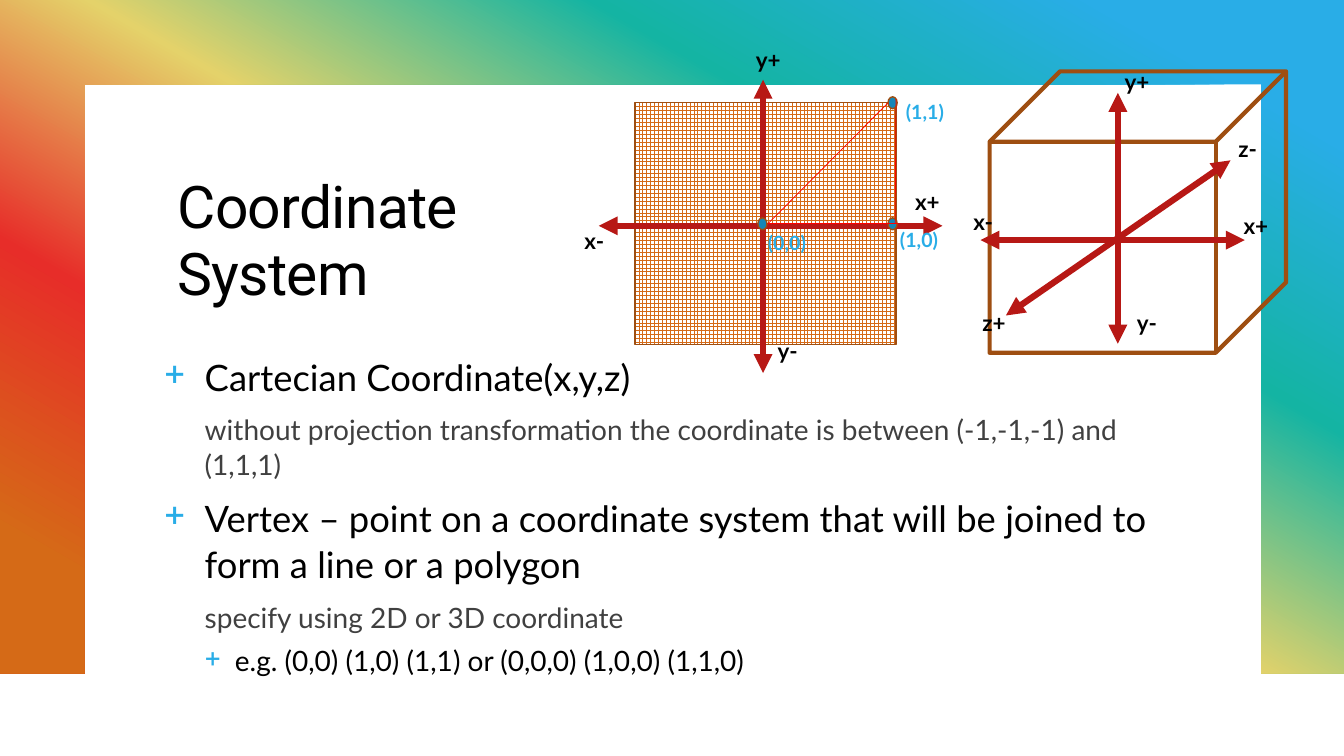
from dataclasses import dataclass
from lxml.etree import SubElement as Sub, fromstring
from pptx import Presentation
from pptx.dml.color import RGBColor as Rgb
from pptx.enum.dml import MSO_PATTERN as Pattern
from pptx.enum.shapes import MSO_CONNECTOR as Link, MSO_SHAPE as Kind
from pptx.enum.text import MSO_ANCHOR as Anchor, MSO_AUTO_SIZE as Fit, PP_ALIGN as Align
from pptx.oxml.ns import nsdecls, qn
from pptx.shapes.autoshape import Shape
from pptx.shapes.shapetree import GroupShapes as Group, SlideShapes as Shapes
from pptx.slide import Slide
from pptx.text.text import Font
from pptx.util import Cm, Pt

HUES = {
    "sky": "29ADE7", "teal": "14B4A3", "sand": "E4D26A", "red": "E72D29",
    "orange": "D56A17", "brown": "9E4E11", "axis": "B71815", "dot": "1586B7",
    "edge": "FF0000", "black": "000000", "grey": "404040", "white": "FFFFFF",
}
STOPS = {"sky": 10, "teal": 30, "sand": 50, "red": 70, "orange": 90}
WIDE, HIGH = 33.87, 19.05


@dataclass
class Label:
    """A short text placed on a diagram."""
    text: str
    x: float
    y: float
    wide: float
    high: float = 0.94
    size: int = 16
    hue: str = "black"


@dataclass
class Stroke:
    """A straight line between two points."""
    x1: float
    y1: float
    x2: float
    y2: float


@dataclass
class Level:
    """The look of one outline level."""
    size: int
    hue: str
    left: float
    hang: float
    gap: int


LEVELS = [
    Level(26, "black", 1.02, 1.02, 9),
    Level(20, "grey", 1.02, 0, 9),
    Level(20, "black", 1.78, 0.76, 6),
]
LINES = [
    (0, "Cartecian Coordinate(x,y,z)"),
    (1, "without projection transformation the coordinate is between (-1,-1,-1) and (1,1,1)"),
    (0, "Vertex – point on a coordinate system that will be joined to form a line or a polygon"),
    (1, "specify using 2D or 3D coordinate"),
    (2, "e.g. (0,0) (1,0) (1,1) or (0,0,0) (1,0,0) (1,1,0)"),
]
SPACE_AXES = [
    Stroke(28.17, 2.34, 28.17, 8.66),
    Stroke(24.71, 6.05, 31.37, 6.05),
    Stroke(25.35, 7.95, 31.01, 4.04),
]
SPACE_TAGS = [
    Label("y+", 28.09, 1.6, 1.22), Label("y-", 28.4, 7.67, 1.02),
    Label("x-", 24.28, 5.13, 1.04), Label("x+", 31.09, 5.23, 1.22),
    Label("z+", 24.51, 7.67, 1.19), Label("z-", 30.96, 3.28, 0.99),
]
PLANE_AXES = [Stroke(19.23, 2.01, 19.23, 9.4), Stroke(15.09, 5.69, 23.75, 5.69)]
PLANE_TAGS = [
    Label("y+", 18.8, 1.04, 1.55), Label("y-", 19.35, 8.38, 1.17),
    Label("x-", 14.48, 5.61, 1.17), Label("x+", 22.81, 4.62, 1.45),
    Label("(1,0)", 22.43, 5.61, 1.8, 0.86, 14, "sky"),
    Label("(0,0)", 19.1, 5.69, 1.8, 0.86, 14, "sky"),
    Label("(1,1)", 22.58, 2.39, 1.8, 0.86, 14, "sky"),
]
DOTS = [(22.38, 5.49), (19.1, 5.49), (22.38, 2.44)]
EDGES = [
    Stroke(19.35, 5.64, 22.63, 5.64),
    Stroke(19.35, 5.64, 22.38, 2.59),
    Stroke(22.56, 5.64, 22.58, 2.49),
]


def color(hue: str) -> Rgb:
    """Look up a named colour."""
    return Rgb.from_string(HUES[hue])


def style(font: Font, name: str, size: int, hue: str, bold: bool = False) -> None:
    """Set the face, size, colour and weight of a font."""
    font.name, font.size, font.bold = name, Pt(size), bold
    font.color.rgb = color(hue)


def frame(shapes: Shapes) -> None:
    """Draw the rainbow frame behind everything."""
    left, right, top, base = 2.13, 31.78, 2.13, 16.97
    spots = [(WIDE, 0), (WIDE, base), (right, base), (right, top),
             (left, top), (left, base), (0, base)]
    pen = shapes.build_freeform(0, 0)
    pen.add_line_segments([(Cm(x), Cm(y)) for x, y in spots])
    shape = pen.convert_to_shape()
    shape.shadow.inherit = False
    shape.line.fill.background()
    stops = "".join(f'<a:gs pos="{at * 1000}"><a:srgbClr val="{HUES[hue]}"/></a:gs>'
                    for hue, at in STOPS.items())
    grad = fromstring(f'<a:gradFill {nsdecls("a")} rotWithShape="1"><a:gsLst>{stops}</a:gsLst>'
                      '<a:lin ang="7200000" scaled="0"/></a:gradFill>')
    shape._element.spPr.find(qn("a:custGeom")).addnext(grad)
    shapes._spTree.insert(2, shape._element)


def head(slide: Slide) -> None:
    """Place and format the title."""
    title = slide.shapes.title
    title.left, title.top, title.width, title.height = Cm(4.22), Cm(4.22), Cm(25.4), Cm(3.73)
    box = title.text_frame
    box.text = "Coordinate \vSystem"
    box.auto_size, box.vertical_anchor = Fit.NONE, Anchor.MIDDLE
    para = box.paragraphs[0]
    para.alignment, para.line_spacing = Align.LEFT, 0.95
    style(para.font, "Roboto", 42, "black")
    para._p.pPr.find(qn("a:defRPr")).set("spc", "-50")


def body(shapes: Shapes) -> None:
    """Write the bulleted outline."""
    box = shapes.add_textbox(Cm(3.89), Cm(8.76), Cm(25.4), Cm(8.69)).text_frame
    box.word_wrap = True
    for row, (rank, text) in enumerate(LINES):
        level = LEVELS[rank]
        para = box.add_paragraph() if row else box.paragraphs[0]
        para.text, para.level = text, rank
        para.line_spacing, para.space_before = 1.05, Pt(level.gap)
        style(para.font, "Lato", level.size, level.hue)
        props = para._p.pPr
        props.set("marL", str(Cm(level.left)))
        props.set("indent", str(-Cm(level.hang)))
        if level.hang:
            tint = Sub(props, qn("a:buClr"))
            Sub(tint, qn("a:srgbClr"), val=HUES["sky"])
            mark = Sub(props, qn("a:buChar"), char="+")
            props.find(qn("a:defRPr")).addprevious(tint)
            tint.addnext(mark)


def solid(group: Group, kind: Kind, x: float, y: float, wide: float, high: float,
          width: float) -> Shape:
    """Add a brown-lined preset shape."""
    shape = group.add_shape(kind, Cm(x), Cm(y), Cm(wide), Cm(high))
    shape.shadow.inherit = False
    shape.line.color.rgb, shape.line.width = color("brown"), Pt(width)
    return shape


def draw(group: Group, stroke: Stroke, hue: str, width: float, arrows: bool) -> None:
    """Add a line, with arrowheads at both ends if asked."""
    line = group.add_connector(Link.STRAIGHT, Cm(stroke.x1), Cm(stroke.y1),
                               Cm(stroke.x2), Cm(stroke.y2))
    line.line.color.rgb, line.line.width = color(hue), Pt(width)
    if arrows:
        for end in ("a:headEnd", "a:tailEnd"):
            Sub(line.line._get_or_add_ln(), qn(end), type="triangle")
    Sub(line._element.spPr, qn("a:effectLst"))


def write(group: Group, label: Label, wrap: bool) -> None:
    """Add a bold diagram label."""
    box = group.add_textbox(Cm(label.x), Cm(label.y), Cm(label.wide), Cm(label.high)).text_frame
    box.word_wrap, box.auto_size = wrap, Fit.SHAPE_TO_FIT_TEXT
    box.text = label.text
    style(box.paragraphs[0].font, "Lato", label.size, label.hue, True)


def chart(group: Group, axes: list[Stroke], tags: list[Label], wrap: bool) -> None:
    """Add the axes and labels of one diagram."""
    for axis in axes:
        draw(group, axis, "axis", 4.5, True)
    for tag in tags:
        write(group, tag, wrap)


def space(group: Group) -> None:
    """Draw the 3D diagram."""
    solid(group, Kind.CUBE, 24.94, 1.8, 7.47, 7.09, 3).fill.background()
    chart(group, SPACE_AXES, SPACE_TAGS, False)


def plane(group: Group) -> None:
    """Draw the 2D diagram."""
    fill = solid(group, Kind.RECTANGLE, 16, 2.59, 6.58, 6.1, 1).fill
    fill.patterned()
    fill.pattern = Pattern.LARGE_GRID
    fill.fore_color.rgb, fill.back_color.rgb = color("orange"), color("white")
    chart(group, PLANE_AXES, PLANE_TAGS, True)
    for x, y in DOTS:
        fill = solid(group, Kind.OVAL, x, y, 0.23, 0.3, 1).fill
        fill.solid()
        fill.fore_color.rgb = color("dot")
    for edge in EDGES:
        draw(group, edge, "edge", 0.5, False)


def main() -> None:
    """Build and save the slide."""
    deck = Presentation()
    deck.slide_width, deck.slide_height = Cm(WIDE), Cm(HIGH)
    slide = deck.slides.add_slide(deck.slide_layouts[5])
    shapes = slide.shapes
    frame(shapes)
    head(slide)
    body(shapes)
    space(shapes.add_group_shape().shapes)
    plane(shapes.add_group_shape().shapes)
    deck.save("out.pptx")


if __name__ == "__main__":
    main()
